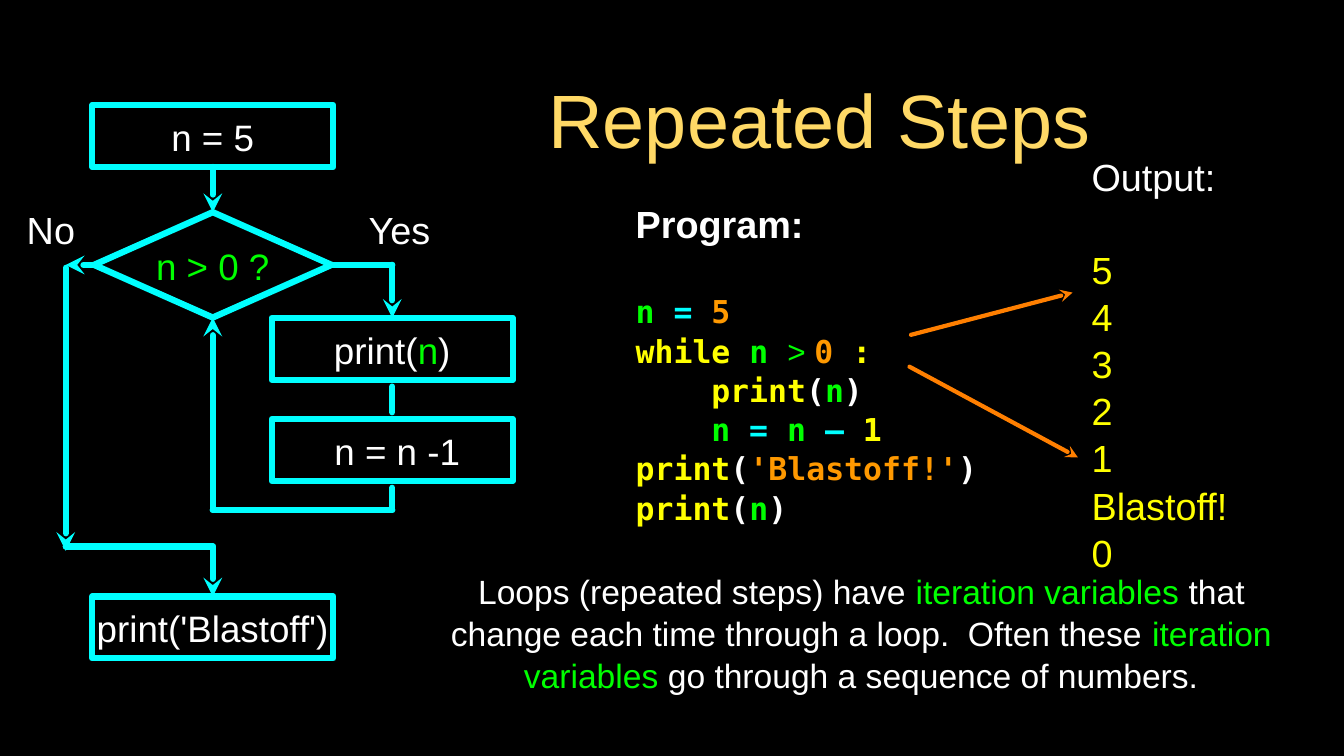
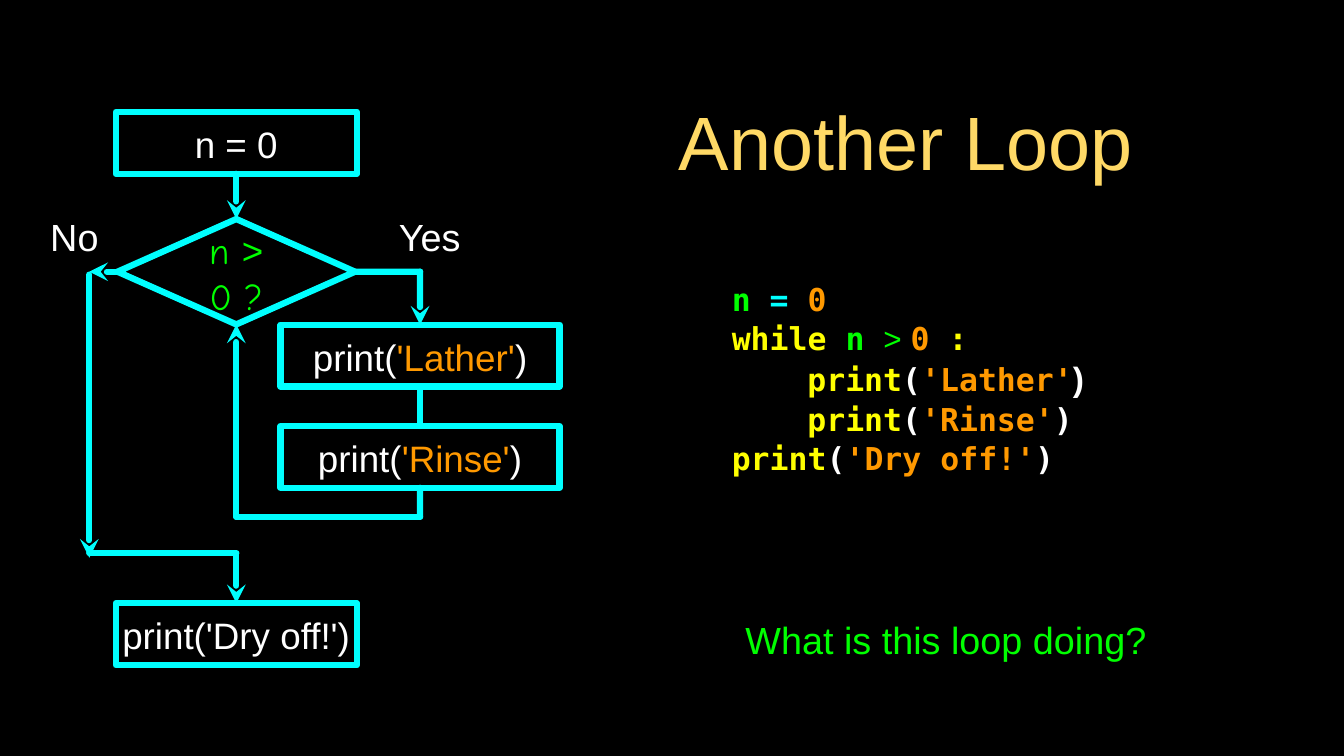
from typing import NamedTuple

from lxml.etree import SubElement
from pptx import Presentation
from pptx.dml.color import RGBColor
from pptx.enum.shapes import MSO_CONNECTOR, MSO_SHAPE
from pptx.enum.text import MSO_ANCHOR, PP_ALIGN
from pptx.oxml.ns import qn
from pptx.util import Cm, Pt

COLOURS = {
    "black": "000000",
    "white": "FFFFFF",
    "title": "FFD966",
    "cyan": "00FFFF",
    "green": "00FF00",
    "yellow": "FFFF00",
    "orange": "FF9900",
    "arrow": "FF7F00",
}
SANS, MONO, COMIC = "Arial", "DejaVu Sans Mono", "Comic Neue"
LINE_SPACING = 1.04
CODE_INDENT = Cm(2.54)
TOP, LEFT, BOTTOM, RIGHT = range(4)

PLAIN = {"name": SANS, "bold": False}
HEADING = {"name": SANS, "size": Pt(36)}
OPEN, CLOSE = ("(", "white"), (")", "white")
PRINT = ("print", "yellow")


class Line(NamedTuple):
    """One paragraph: runs of (text, colour, optional font overrides)."""
    runs: list
    indent: int = 0
    space_before: int = 0


def colour(name):
    return RGBColor.from_string(COLOURS[name])


def plain(text, name="white"):
    return Line([(text, name)])


def call(argument, name="orange", close=CLOSE, indent=0):
    """A coloured print(...) line of code."""
    return Line([PRINT, OPEN, (argument, name), close], indent)


def while_line():
    return Line([("while ", "yellow"), ("n ", "green"), ("> ", "green", PLAIN),
                 ("0", "orange"), (" :", "yellow")])


def assign(value):
    return [("n ", "green"), ("= ", "cyan"), (value, "orange")]


def write(shape, lines, size, font=SANS, bold=False, align=PP_ALIGN.CENTER, inset=0):
    frame = shape.text_frame
    frame.word_wrap = True
    frame.vertical_anchor = MSO_ANCHOR.MIDDLE
    frame.margin_left = frame.margin_right = Cm(inset)
    frame.margin_top = frame.margin_bottom = Cm(inset)
    for index, line in enumerate(lines):
        paragraph = frame.add_paragraph() if index else frame.paragraphs[0]
        paragraph.alignment = align
        paragraph.line_spacing = LINE_SPACING
        paragraph.space_before = Pt(line.space_before)
        if line.indent:
            paragraph._p.get_or_add_pPr().set("marL", str(int(line.indent)))
        paragraph.font.name = font
        paragraph.font.size = Pt(size)
        paragraph.font.bold = bold
        one_colour = len({run[1] for run in line.runs}) == 1
        if one_colour:
            paragraph.font.color.rgb = colour(line.runs[0][1])
        for text, name, *overrides in line.runs:
            run = paragraph.add_run()
            run.text = text
            if not one_colour:
                run.font.color.rgb = colour(name)
            for override in overrides:
                for attribute, value in override.items():
                    setattr(run.font, attribute, value)


def add_text(slide, box, lines, size, **style):
    shape = slide.shapes.add_textbox(*map(Cm, box))
    write(shape, lines, size, **style)


def add_node(slide, kind, box, line):
    """An outlined flowchart step."""
    shape = slide.shapes.add_shape(kind, *map(Cm, box))
    shape.shadow.inherit = False
    shape.fill.background()
    shape.line.color.rgb = colour("cyan")
    shape.line.width = Pt(6)
    write(shape, [line], 35)
    return shape


def add_line(slide, start, end, arrow=False, begin=None, finish=None, name="cyan", width=6):
    """A line between two points; begin and finish are (shape, side) joints."""
    connector = slide.shapes.add_connector(
        MSO_CONNECTOR.STRAIGHT, *map(Cm, (*start, *end)))
    connector.line.color.rgb = colour(name)
    connector.line.width = Pt(width)
    if begin:
        connector.begin_connect(*begin)
    if finish:
        connector.end_connect(*finish)
    outline = connector.line._get_or_add_ln()
    outline.set("cap", "rnd")
    if arrow:
        SubElement(outline, qn("a:tailEnd"), type="stealth")
    SubElement(connector._element.spPr, qn("a:effectLst"))


def add_flowchart(slide, left, top, steps, body_left, body_width, yes_width, gap=0):
    """A while loop; steps are start, test, two body steps and end.

    A gap leaves the lines between the body steps short of the boxes.
    """
    step_width, step_height = 8.1, 2.08
    test_width, test_top, test_height = 7.98, 3.6, 3.54
    body_tops = (7.15, 10.55)
    end_top, exit_y, return_y = 16.51, 14.83, 13.6
    centre, exit_x = step_width / 2, -0.89
    body_centre = body_left + body_width / 2
    test_left = centre - test_width / 2
    test_right = centre + test_width / 2
    test_bottom, test_middle = test_top + test_height, test_top + test_height / 2

    def box(x, y, width, height):
        return left + x, top + y, width, height

    def connect(start, end, **options):
        add_line(slide, (left + start[0], top + start[1]),
                 (left + end[0], top + end[1]), **options)

    start_line, test_line, *body_lines, end_line = steps
    start = add_node(slide, MSO_SHAPE.RECTANGLE,
                     box(0, 0, step_width, step_height), start_line)
    test = add_node(slide, MSO_SHAPE.DIAMOND,
                    box(test_left, test_top, test_width, test_height), test_line)
    first, second = [
        add_node(slide, MSO_SHAPE.RECTANGLE, box(body_left, y, body_width, step_height), line)
        for y, line in zip(body_tops, body_lines)]
    end = add_node(slide, MSO_SHAPE.RECTANGLE,
                   box(0, end_top, step_width, step_height), end_line)

    for text, x, width in (("No", -2.39, 2), ("Yes", 9.05, yes_width)):
        add_text(slide, box(x, 3.28, width, 1.73), [plain(text)], 36)

    connect((centre, step_height), (centre, test_top), arrow=True,
            begin=(start, BOTTOM), finish=(test, TOP))
    # Yes branch and the way back to the test
    connect((test_right, test_middle), (body_centre, test_middle), begin=(test, RIGHT))
    connect((body_centre, test_middle), (body_centre, body_tops[0]), arrow=True,
            finish=(first, TOP))
    connect((body_centre, body_tops[0] + step_height + gap),
            (body_centre, body_tops[1] - gap),
            begin=None if gap else (first, BOTTOM),
            finish=None if gap else (second, TOP))
    connect((body_centre, body_tops[1] + step_height + gap), (body_centre, return_y),
            begin=None if gap else (second, BOTTOM))
    connect((body_centre, return_y), (centre, return_y))
    connect((centre, return_y), (centre, test_bottom), arrow=True, finish=(test, BOTTOM))
    # No branch
    connect((test_left, test_middle), (exit_x, test_middle), arrow=True, begin=(test, LEFT))
    connect((exit_x, test_middle + 0.1), (exit_x, exit_y + 0.15), arrow=True)
    connect((exit_x, exit_y), (centre, exit_y))
    connect((centre, exit_y), (centre, end_top), arrow=True, finish=(end, TOP))


def add_code(slide, box, lines):
    add_text(slide, box, lines, 30, font=MONO, bold=True, align=PP_ALIGN.LEFT)


def add_titled_slide(presentation, title, box):
    slide = presentation.slides.add_slide(presentation.slide_layouts[5])
    placeholder = slide.shapes.title
    placeholder.left, placeholder.top, placeholder.width, placeholder.height = map(Cm, box)
    write(placeholder, [plain(title, "title")], 72, inset=0.1)
    return slide


def add_output(slide, box, results):
    first, *others = results
    lines = [plain("Output:"), Line([(first, "yellow")], space_before=43)]
    lines += [plain(result, "yellow") for result in others]
    add_text(slide, box, lines, 36, align=PP_ALIGN.LEFT)


def build_repeated_steps(presentation):
    slide = add_titled_slide(presentation, "Repeated Steps", (13.16, 2.26, 28.75, 3.33))
    steps = [
        plain("n = 5"),
        plain("n > 0 ?", "green"),
        Line([("print(", "white"), ("n", "green"), CLOSE]),
        plain(" n = n -1"),
        plain("print('Blastoff')"),
    ]
    add_flowchart(slide, 3.1, 3.53, steps, body_left=6.03, body_width=8.1,
                  yes_width=2.54, gap=0.23)
    add_code(slide, (21.36, 6.02, 11.76, 12.32), [
        Line([("Program:", "white", HEADING)]),
        Line(assign("5"), space_before=43),
        while_line(),
        call("n", "green", indent=CODE_INDENT),
        Line([("n ", "green"), ("= ", "cyan"), ("n ", "green"), ("–", "cyan"),
              (" 1", "yellow")], CODE_INDENT),
        call("'Blastoff!'"),
        call("n", "green"),
    ])
    add_output(slide, (36.68, 5.56, 4.8, 13.31), [*"54321", "Blastoff!", "0"])
    for start, end in (((30.61, 11.25), (36.04, 9.83)), ((30.56, 12.32), (36.22, 15.37))):
        add_line(slide, start, end, arrow=True, name="arrow", width=4)
    add_text(slide, (14.2, 18.92, 29.49, 4.62), [Line([
        ("Loops (repeated steps) have ", "white"),
        ("iteration variables ", "green"),
        ("that change each time through a loop.  Often these ", "white"),
        ("iteration variables ", "green"),
        ("go through a sequence of numbers.", "white"),
    ])], 32)


def build_another_loop(presentation):
    slide = add_titled_slide(presentation, "Another Loop", (18.97, 2.26, 22.94, 4.78))
    comic = {"name": COMIC}
    steps = [
        plain("n = 0"),
        Line([("n ", "green", comic), (">", "green"), (" 0 ?", "green", comic)]),
        Line([("print(", "white"), ("'Lather'", "orange"), CLOSE]),
        Line([("print(", "white"), ("'Rinse'", "orange"), CLOSE]),
        plain("print('Dry off!')"),
    ]
    add_flowchart(slide, 3.89, 3.76, steps, body_left=5.54, body_width=9.37, yes_width=3)
    wide_close = (")", "white", {"name": SANS, "size": Pt(32)})
    add_code(slide, (24.59, 8.84, 13.94, 7.7), [
        Line(assign("0")),
        while_line(),
        call("'Lather'", close=wide_close, indent=CODE_INDENT),
        call("'Rinse'", indent=CODE_INDENT),
        call("'Dry off!'"),
    ])
    add_text(slide, (23.04, 20.6, 17.5, 1.73), [plain("What is this loop doing?", "green")], 36)


def main():
    presentation = Presentation()
    presentation.slide_width, presentation.slide_height = Cm(45.16), Cm(25.4)
    background = presentation.slide_master.background.fill
    background.solid()
    background.fore_color.rgb = colour("black")
    build_repeated_steps(presentation)
    build_another_loop(presentation)
    presentation.save("out.pptx")


if __name__ == "__main__":
    main()
